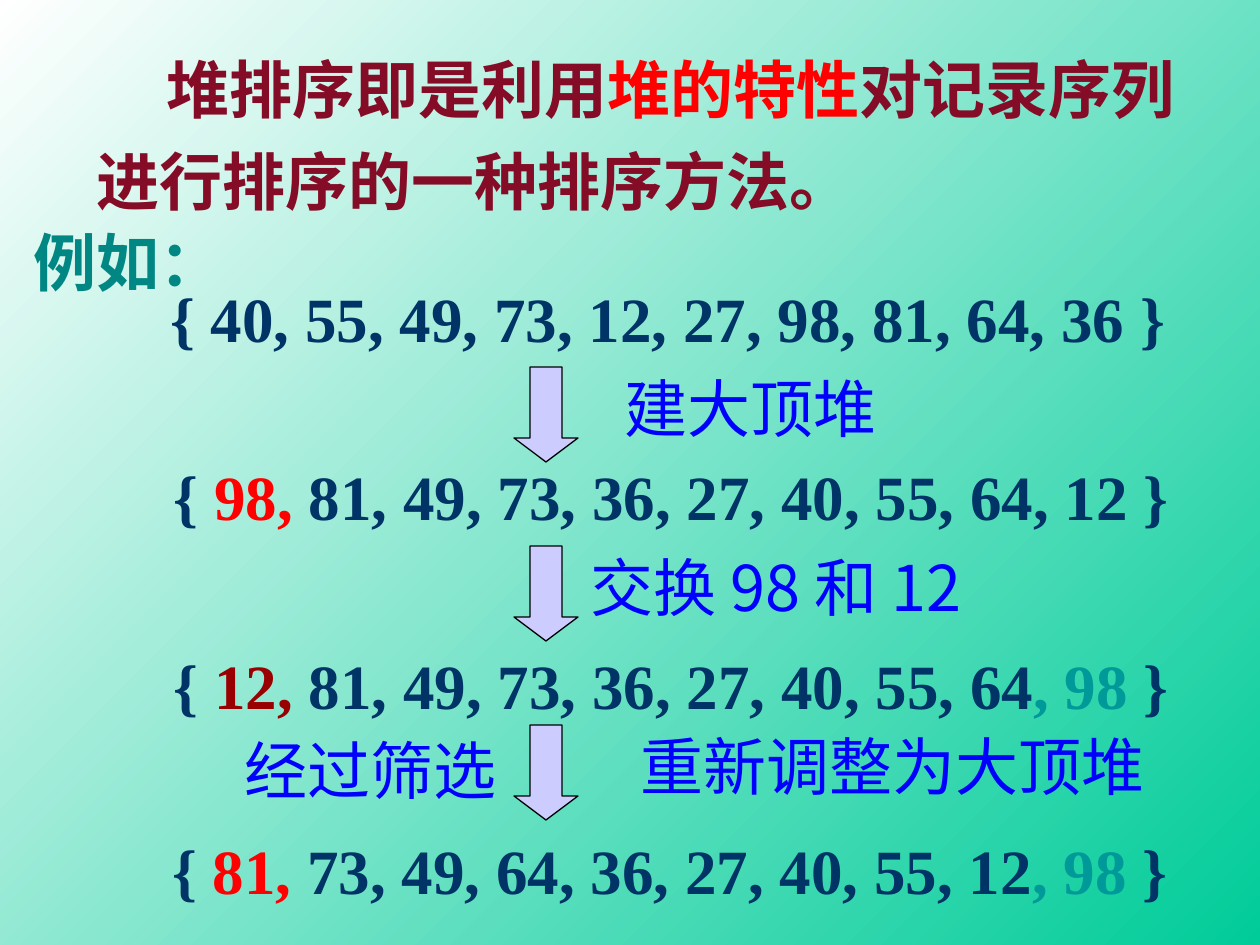
from pptx import Presentation
from pptx.dml.color import RGBColor
from pptx.enum.shapes import MSO_SHAPE as Shape
from pptx.enum.text import MSO_AUTO_SIZE as AutoSize
from pptx.util import Pt

PX = 914400 / 126  # EMU per px
SERIF, SANS = "Times New Roman", "Noto Sans CJK SC"
WHITE = RGBColor(0xFF, 0xFF, 0xFF)
BLACK = RGBColor(0x00, 0x00, 0x00)
GREEN = RGBColor(0x00, 0xCC, 0x99)
LILAC = RGBColor(0xCC, 0xCC, 0xFF)
WINE = RGBColor(0x84, 0x0C, 0x26)
RED = RGBColor(0xFF, 0x00, 0x00)
DARK_RED = RGBColor(0x99, 0x00, 0x00)
TEAL = RGBColor(0x00, 0x87, 0x84)
SORTED_TEAL = RGBColor(0x00, 0x99, 0x99)
NAVY = RGBColor(0x00, 0x33, 0x66)
BLUE = RGBColor(0x00, 0x00, 0xFF)


def emu(*lengths):
    return [round(length * PX) for length in lengths]


def add_text(box, runs, wrap=True, bold=True, font=SERIF, line_spacing=None):
    frame = slide.shapes.add_textbox(*emu(*box)).text_frame
    frame.word_wrap = wrap
    frame.auto_size = AutoSize.SHAPE_TO_FIT_TEXT
    paragraph = frame.paragraphs[0]
    paragraph.line_spacing = line_spacing
    for words, color in runs:
        run = paragraph.add_run()
        run.text = words
        for key, value in {"name": font, "size": Pt(36), "bold": bold}.items():
            setattr(run.font, key, value)
        run.font.color.rgb = color
    return paragraph


prs = Presentation()
prs.slide_width, prs.slide_height = emu(1260, 945)
slide = prs.slides.add_slide(prs.slide_layouts[6])

# Background: white at top left to green at bottom right
backdrop = slide.background.fill
backdrop.gradient()
backdrop.gradient_angle = 315
for stop, color in zip(backdrop.gradient_stops, (WHITE, GREEN)):
    stop.color.rgb = color

# Definition and example heading
definition = add_text(
    (84, 21, 1144, 204),
    [("　", WINE), ("堆排序即是利用", WINE), ("堆的特性", RED),
     ("对记录序列进行排序的一种排序方法。", WINE)],
    line_spacing=1.2)
definition.runs[0].font.size = Pt(40)
add_text((21, 202, 214, 103), [("例如：", TEAL)], wrap=False, line_spacing=1.2)

# Sequence after each step
sequences = [
    (158, 273, [("{ 40, 55, 49, 73, 12, 27, 98, 81, 64, 36 }", NAVY)]),
    (161, 451, [("{ ", NAVY), ("98,", RED), (" 81, 49, 73, 36, 27, 40, 55, 64, 12 }", NAVY)]),
    (161, 640, [("{ ", NAVY), ("12,", DARK_RED), (" 81, 49, 73, 36, 27, 40, 55, 64", NAVY),
                (", 98", SORTED_TEAL), (" }", NAVY)]),
    (160, 825, [("{ ", NAVY), ("81,", RED), (" 73, 49, 64, 36, 27, 40, 55, 12", NAVY),
                (", 98", SORTED_TEAL), (" }", NAVY)]),
]
for left, top, runs in sequences:
    add_text((left, top, 1026, 88), runs)

# Arrows between the sequences
for step in range(3):
    arrow = slide.shapes.add_shape(Shape.DOWN_ARROW, *emu(514, 367 + 179 * step, 64, 95))
    arrow.adjustments[0], arrow.adjustments[1] = 0.5, 0.375
    arrow.shadow.inherit = False
    arrow.fill.solid()
    arrow.fill.fore_color.rgb = LILAC
    arrow.line.color.rgb = BLACK
    arrow.line.width = Pt(0.75)

# Step descriptions
descriptions = [
    ((612, 363, 291, 88), "建大顶堆", SERIF),
    ((578, 542, 512, 88), "交换 98 和 12", SANS),
    ((232, 725, 277, 88), "经过筛选", SERIF),
    ((628, 721, 540, 88), "重新调整为大顶堆", SERIF),
]
for box, words, font in descriptions:
    add_text(box, [(words, BLUE)], bold=False, font=font)

prs.save("out.pptx")
